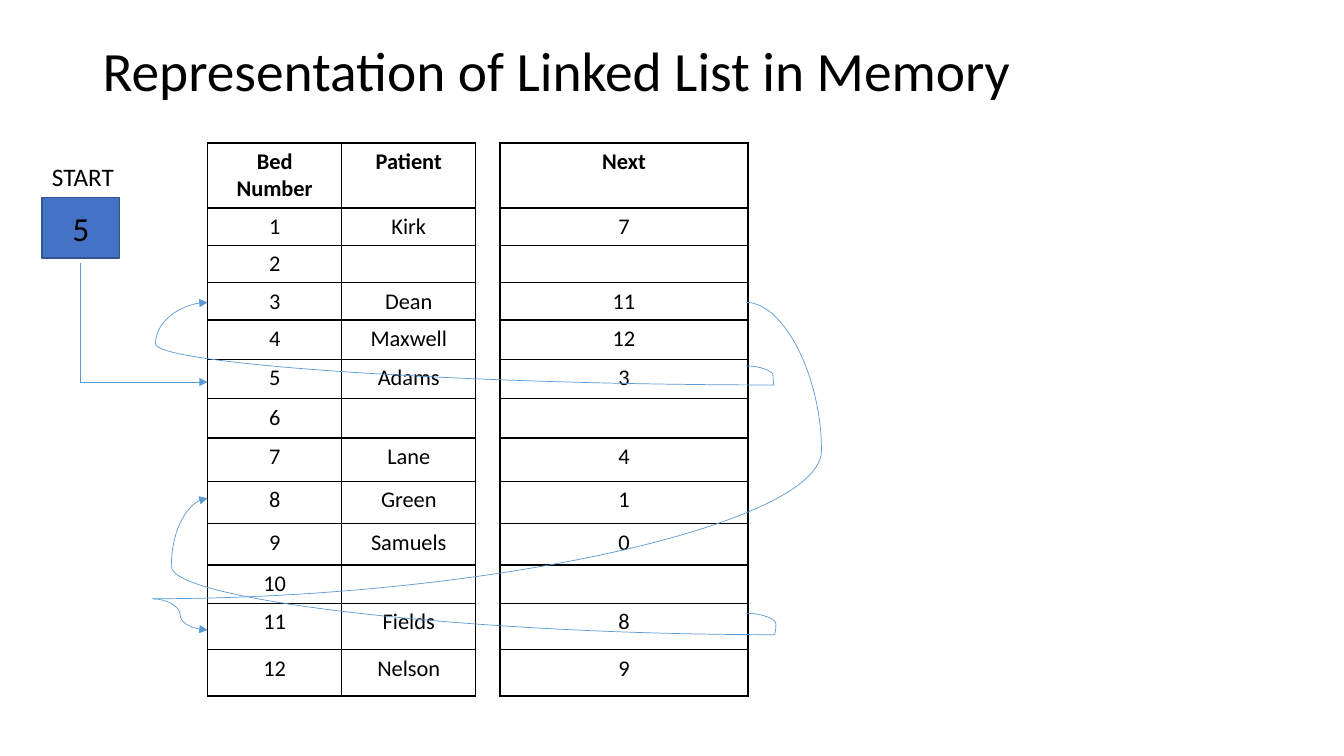
from lxml import etree
from pptx import Presentation
from pptx.dml.color import RGBColor
from pptx.enum.shapes import MSO_CONNECTOR, MSO_SHAPE
from pptx.enum.text import MSO_ANCHOR, PP_ALIGN
from pptx.oxml.ns import qn
from pptx.util import Pt

COLORS = {"text": "000000", "border": "000000", "arrow": "5B9BD5",
          "box": "4472C4", "box_line": "325491"}

presentation = Presentation()
presentation.slide_width, presentation.slide_height = Pt(960), Pt(540)
slide = presentation.slides.add_slide(presentation.slide_layouts[6])


def write(text_frame, text, size, alignment=PP_ALIGN.LEFT, bold=False):
    text_frame.text = text
    text_frame.word_wrap = True
    paragraph = text_frame.paragraphs[0]
    paragraph.alignment = alignment
    for run in paragraph.runs:
        run.font.name, run.font.size, run.font.bold = "Calibri", Pt(size), bold
        run.font.color.rgb = RGBColor.from_string(COLORS["text"])
    return paragraph


def add_link(kind, begin, end, adjustment=None, arrow=False):
    link = slide.shapes.add_connector(kind, *(Pt(value) for value in begin + end))
    link.line.color.rgb = RGBColor.from_string(COLORS["arrow"])
    link.line.width = Pt(0.5)
    properties = link._element.spPr
    etree.SubElement(properties, qn("a:effectLst"))
    if arrow:
        etree.SubElement(properties.find(qn("a:ln")), qn("a:tailEnd"), type="triangle")
    if adjustment is not None:
        guides = properties.find(qn("a:prstGeom")).find(qn("a:avLst"))
        etree.SubElement(guides, qn("a:gd"), name="adj1",
                         fmla=f"val {round(adjustment * 100000)}")
    return link


# Title
title = slide.shapes.add_textbox(Pt(66.2), Pt(28.8), Pt(828), Pt(48.2))
title.text_frame.vertical_anchor = MSO_ANCHOR.MIDDLE
write(title.text_frame, "Representation of Linked List in Memory", 39.6).line_spacing = 0.9

# Table of beds, with an open gap before the Next column
GAP = 2
rows = [("Bed Number", "Patient", "Next"), ("1", "Kirk", "7"), ("2", "", ""),
        ("3", "Dean", "11"), ("4", "Maxwell", "12"), ("5", "Adams", "3"),
        ("6", "", ""), ("7", "Lane", "4"), ("8", "Green", "1"),
        ("9", "Samuels", "0"), ("10", "", ""), ("11", "Fields", "8"),
        ("12", "Nelson", "9")]
row_heights = [46.4, 26.7, 26.7, 26.7, 28.1, 28.1, 28.1, 31, 30.3, 29.5, 27.4, 33.1, 33.1]
column_widths = [95.8, 95.8, 16.9, 177.2]
frame = slide.shapes.add_table(len(rows), len(column_widths), Pt(148.3), Pt(102.2),
                               Pt(sum(column_widths)), Pt(sum(row_heights)))
table = frame.table
table.first_row = table.horz_banding = False
for column, width in zip(table.columns, column_widths):
    column.width = Pt(width)
for row_index, (bed, patient, following) in enumerate(rows):
    table.rows[row_index].height = Pt(row_heights[row_index])
    for column_index, text in enumerate((bed, patient, "", following)):
        cell = table.cell(row_index, column_index)
        paragraph = write(cell.text_frame, text, 16, PP_ALIGN.CENTER, row_index == 0)
        if not text:
            paragraph._p.get_or_add_endParaRPr().set("sz", "1600")
        cell_properties = cell._tc.get_or_add_tcPr()
        for side in ("lnL", "lnR", "lnT", "lnB"):
            border = etree.SubElement(cell_properties, qn(f"a:{side}"), w=str(Pt(1)))
            if column_index == GAP and side in ("lnT", "lnB"):
                etree.SubElement(border, qn("a:noFill"))
            else:
                fill = etree.SubElement(border, qn("a:solidFill"))
                etree.SubElement(fill, qn("a:srgbClr"), val=COLORS["border"])
        cell.fill.background()
table.cell(0, GAP).merge(table.cell(10, GAP))

# Curved links between the beds: begin, end, bend, arrowhead
curves = [((553, 275), (148.3, 216), 1.092, True),
          ((533, 261.4), (553, 275), 0.961, False),
          ((109, 427.7), (148.3, 450), 0.5, True),
          ((533, 216), (109, 427.7), -0.127, False),
          ((553, 453.4), (148.3, 355.9), 1.064, True),
          ((533, 438), (553, 453.4), 1.063, False)]
for begin, end, bend, arrow in curves:
    add_link(MSO_CONNECTOR.CURVE, begin, end, bend, arrow)

# START pointer
start_box = slide.shapes.add_shape(MSO_SHAPE.RECTANGLE, Pt(30), Pt(141), Pt(55.6), Pt(43.4))
start_box.shadow.inherit = False
start_box.fill.solid()
start_box.fill.fore_color.rgb = RGBColor.from_string(COLORS["box"])
start_box.line.color.rgb = RGBColor.from_string(COLORS["box_line"])
start_box.line.width = Pt(1)
start_box.text_frame.vertical_anchor = MSO_ANCHOR.MIDDLE
write(start_box.text_frame, "5", 24, PP_ALIGN.CENTER)

# One-corner elbow, turned a quarter so that it runs down and then right
elbow = add_link(MSO_CONNECTOR.ELBOW, (145.5, 185), (60.5, 275.7), arrow=True)
elbow._element.spPr.find(qn("a:xfrm")).set("rot", "16200000")
elbow._element.spPr.find(qn("a:prstGeom")).set("prst", "bentConnector2")

start_label = slide.shapes.add_textbox(Pt(30), Pt(111.6), Pt(79.2), Pt(29))
write(start_label.text_frame, "START", 18)

presentation.save("out.pptx")
